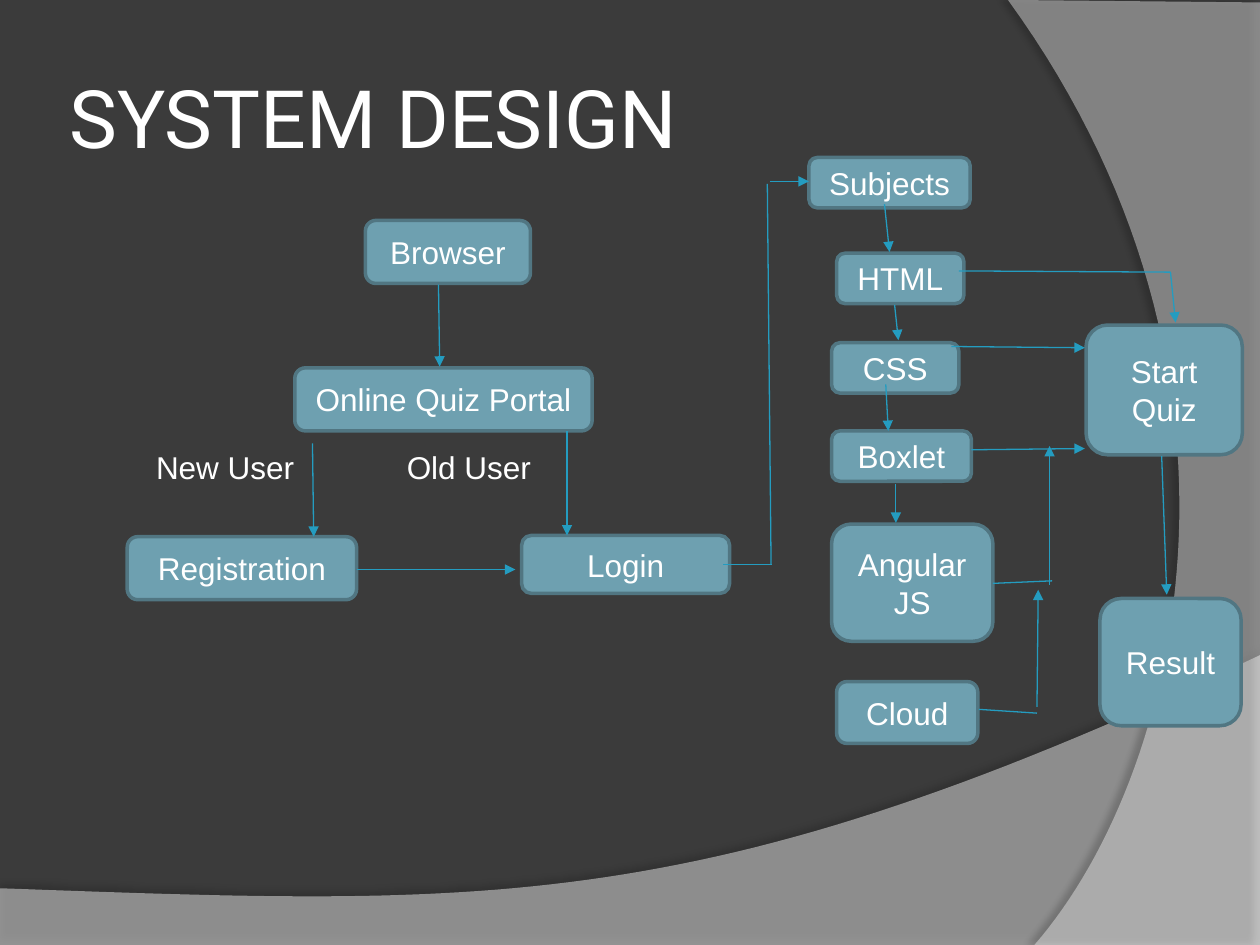
from dataclasses import dataclass

from lxml.etree import SubElement
from pptx import Presentation
from pptx.dml.color import RGBColor
from pptx.enum.shapes import MSO_CONNECTOR, MSO_SHAPE
from pptx.enum.text import MSO_ANCHOR, MSO_AUTO_SIZE, PP_ALIGN
from pptx.oxml.ns import qn
from pptx.util import Inches, Pt


@dataclass(frozen=True)
class Theme:
    background: str = "3B3B3B"
    light: str = "FFFFFF"
    node: str = "6EA0B0"
    border: str = "517682"
    flow: str = "249CC0"
    shade: str = "000000"
    heading_font: str = "Roboto"
    body_font: str = "Arial"
    heading_size: float = 46
    body_size: float = 18
    border_width: float = 2
    flow_width: float = 0.75


THEME = Theme()
COLUMNS, ROWS = 10, 7.5

# Positions are in grid cells: left, top, width, height.
TITLE = ("SYSTEM DESIGN", (0.5, 0.3, 8.17, 1.25))
USER_KINDS = ("New User\tOld User", (1.14, 3.51, 3.4, 0.4))
OLD_USER_TAB = 1.99

NODES = [
    ("Browser", (2.9, 1.75, 1.31, 0.5)),
    ("Online Quiz Portal", (2.34, 2.92, 2.36, 0.5)),
    ("Registration", (1.01, 4.26, 1.82, 0.5)),
    ("Login", (4.14, 4.25, 1.65, 0.46)),
    ("Subjects", (6.42, 1.25, 1.28, 0.4)),
    ("HTML", (6.64, 2.01, 1.01, 0.4)),
    ("CSS", (6.6, 2.72, 1.01, 0.4)),
    ("Boxlet", (6.6, 3.42, 1.11, 0.4)),
    ("Angular\nJS", (6.6, 4.16, 1.28, 0.93)),
    ("Cloud", (6.64, 5.41, 1.12, 0.49)),
    ("Start Quiz", (8.62, 2.58, 1.24, 1.03)),
    ("Result", (8.73, 4.75, 1.12, 1.01)),
]

ARROWS = [
    ((3.48, 2.26), (3.49, 2.91)),  # Browser to portal
    ((2.48, 3.52), (2.49, 4.26)),  # portal to Registration
    ((4.5, 3.42), (4.5, 4.25)),    # portal to Login
    ((2.83, 4.52), (4.09, 4.52)),  # Registration to Login
    ((6.11, 1.44), (6.42, 1.44)),  # into Subjects
    ((7.02, 1.62), (7.06, 2)),     # Subjects to HTML
    ((7.1, 2.42), (7.13, 2.7)),    # HTML to CSS
    ((7.03, 3.05), (7.05, 3.42)),  # CSS to Boxlet
    ((7.11, 3.84), (7.11, 4.15)),  # Boxlet to Angular JS
    ((9.29, 2.16), (9.33, 2.56)),  # HTML into Start Quiz
    ((7.55, 2.75), (8.61, 2.76)),  # CSS to Start Quiz
    ((7.71, 3.57), (8.61, 3.56)),  # Boxlet to Start Quiz
    ((8.33, 4.64), (8.33, 3.54)),  # Angular JS up to Boxlet's arrow
    ((8.23, 5.61), (8.24, 4.68)),  # Cloud up to Angular JS's line
    ((9.22, 3.62), (9.26, 4.72)),  # Start Quiz to Result
]
PLAIN_LINES = [
    ((5.74, 4.48), (6.13, 4.48)),  # out of Login
    ((6.12, 4.48), (6.09, 1.46)),  # up to Subjects
    ((7.61, 2.15), (9.29, 2.16)),  # out of HTML
    ((7.88, 4.63), (8.35, 4.61)),  # out of Angular JS
    ((7.77, 5.63), (8.23, 5.66)),  # out of Cloud
]

# Each swoosh: curve control points, closing corners, opacity, shadow
# (opacity, blur, distance, direction).
SWOOSHES = [
    (((10, 5.2), (5.59, 7.29), (3.91, 7.19), (0, 7.05)),
     [(0, ROWS), (COLUMNS, ROWS)], 45, (35, 4, 3.5, 270)),
    (((8.21, 7.5), (9.35, 6.19), (10.18, 3), (8, 0)),
     [(COLUMNS, 0.02), (COLUMNS, ROWS)], 40, (45, 4, 4, 180)),
]
CURVE_STEPS = 60


def rgb(color):
    return RGBColor.from_string(color)


def cells(*lengths):
    return [Inches(length) for length in lengths]


def write(frame, text, *, size=THEME.body_size, font=THEME.body_font,
          color=THEME.light, align=PP_ALIGN.LEFT, anchor=MSO_ANCHOR.TOP,
          insets=(0.1, 0.05)):
    frame.word_wrap = True
    frame.vertical_anchor = anchor
    frame.margin_left = frame.margin_right = Inches(insets[0])
    frame.margin_top = frame.margin_bottom = Inches(insets[1])
    frame.text = text
    for paragraph in frame.paragraphs:
        paragraph.alignment = align
        for run in paragraph.runs:
            run.font.size = Pt(size)
            run.font.name = font
            run.font.color.rgb = rgb(color)


def bezier(controls, share):
    """Point at the given share of a cubic curve."""
    rest = 1 - share
    weights = (rest**3, 3 * rest**2 * share, 3 * rest * share**2, share**3)
    return tuple(sum(w * p[axis] for w, p in zip(weights, controls))
                 for axis in (0, 1))


def add_swoosh(slide, controls, corners, opacity, shadow):
    curve = [bezier(controls, step / CURVE_STEPS)
             for step in range(CURVE_STEPS + 1)]
    start, *rest = [cells(*point) for point in curve + corners]
    builder = slide.shapes.build_freeform(*start)
    builder.add_line_segments(rest, close=True)
    swoosh = builder.convert_to_shape()
    swoosh.fill.solid()
    swoosh.fill.fore_color.rgb = rgb(THEME.light)
    swoosh.line.fill.background()
    swoosh.shadow.inherit = False
    properties = swoosh._element.spPr
    fill = properties.find(qn("a:solidFill"))[0]
    SubElement(fill, qn("a:alpha"), val=str(opacity * 1000))
    shade_opacity, blur, distance, direction = shadow
    outer = SubElement(properties.find(qn("a:effectLst")), qn("a:outerShdw"),
                       blurRad=str(Pt(blur)), dist=str(Pt(distance)),
                       dir=str(direction * 60000), rotWithShape="0")
    shade = SubElement(outer, qn("a:srgbClr"), val=THEME.shade)
    SubElement(shade, qn("a:alpha"), val=str(shade_opacity * 1000))


def add_node(slide, label, box):
    node = slide.shapes.add_shape(MSO_SHAPE.ROUNDED_RECTANGLE, *cells(*box))
    node.shadow.inherit = False
    node.fill.solid()
    node.fill.fore_color.rgb = rgb(THEME.node)
    node.line.color.rgb = rgb(THEME.border)
    node.line.width = Pt(THEME.border_width)
    write(node.text_frame, label, align=PP_ALIGN.CENTER,
          anchor=MSO_ANCHOR.MIDDLE)


def add_flow(slide, start, end, arrow):
    flow = slide.shapes.add_connector(MSO_CONNECTOR.STRAIGHT,
                                      *cells(*start, *end))
    flow.line.color.rgb = rgb(THEME.flow)
    flow.line.width = Pt(THEME.flow_width)
    if arrow:
        SubElement(flow.line._get_or_add_ln(), qn("a:tailEnd"),
                   type="triangle")
    SubElement(flow._element.spPr, qn("a:effectLst"))


def add_title(slide, text, box):
    title = slide.shapes.title
    title.left, title.top, title.width, title.height = cells(*box)
    write(title.text_frame, text, size=THEME.heading_size,
          font=THEME.heading_font, anchor=MSO_ANCHOR.MIDDLE, insets=(0.05, 0))
    slide.shapes._spTree.append(title._element)  # in front of the swooshes


def add_user_kinds(slide, text, box):
    kinds = slide.shapes.add_textbox(*cells(*box))
    write(kinds.text_frame, text)
    kinds.text_frame.auto_size = MSO_AUTO_SIZE.SHAPE_TO_FIT_TEXT
    properties = kinds.text_frame.paragraphs[0]._p.get_or_add_pPr()
    tabs = SubElement(properties, qn("a:tabLst"))
    SubElement(tabs, qn("a:tab"), pos=str(Inches(OLD_USER_TAB)), algn="l")


def main():
    deck = Presentation()
    deck.slide_width, deck.slide_height = cells(COLUMNS, ROWS)
    slide = deck.slides.add_slide(deck.slide_layouts.get_by_name("Title Only"))
    slide.background.fill.solid()
    slide.background.fill.fore_color.rgb = rgb(THEME.background)
    for swoosh in SWOOSHES:
        add_swoosh(slide, *swoosh)
    add_title(slide, *TITLE)
    for node in NODES:
        add_node(slide, *node)
    add_user_kinds(slide, *USER_KINDS)
    for flows, arrow in ((ARROWS, True), (PLAIN_LINES, False)):
        for start, end in flows:
            add_flow(slide, start, end, arrow)
    deck.save("out.pptx")


if __name__ == "__main__":
    main()
